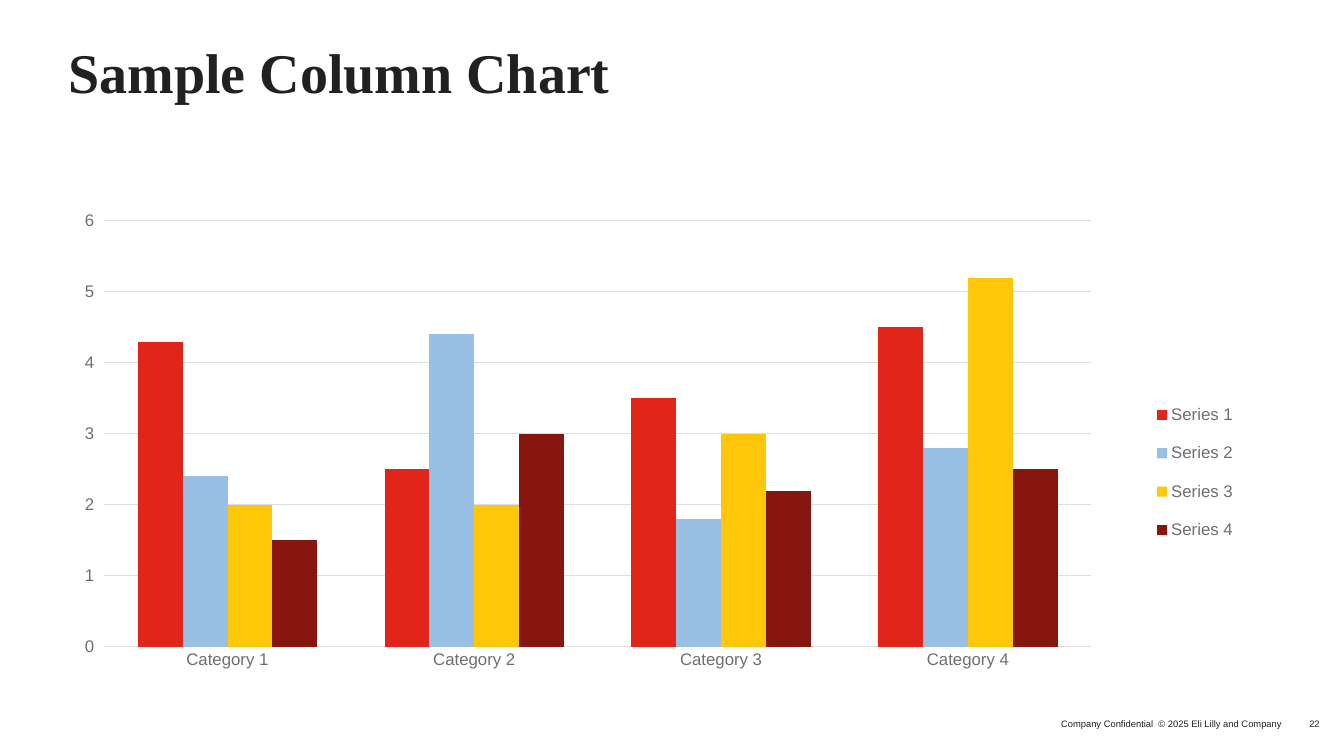
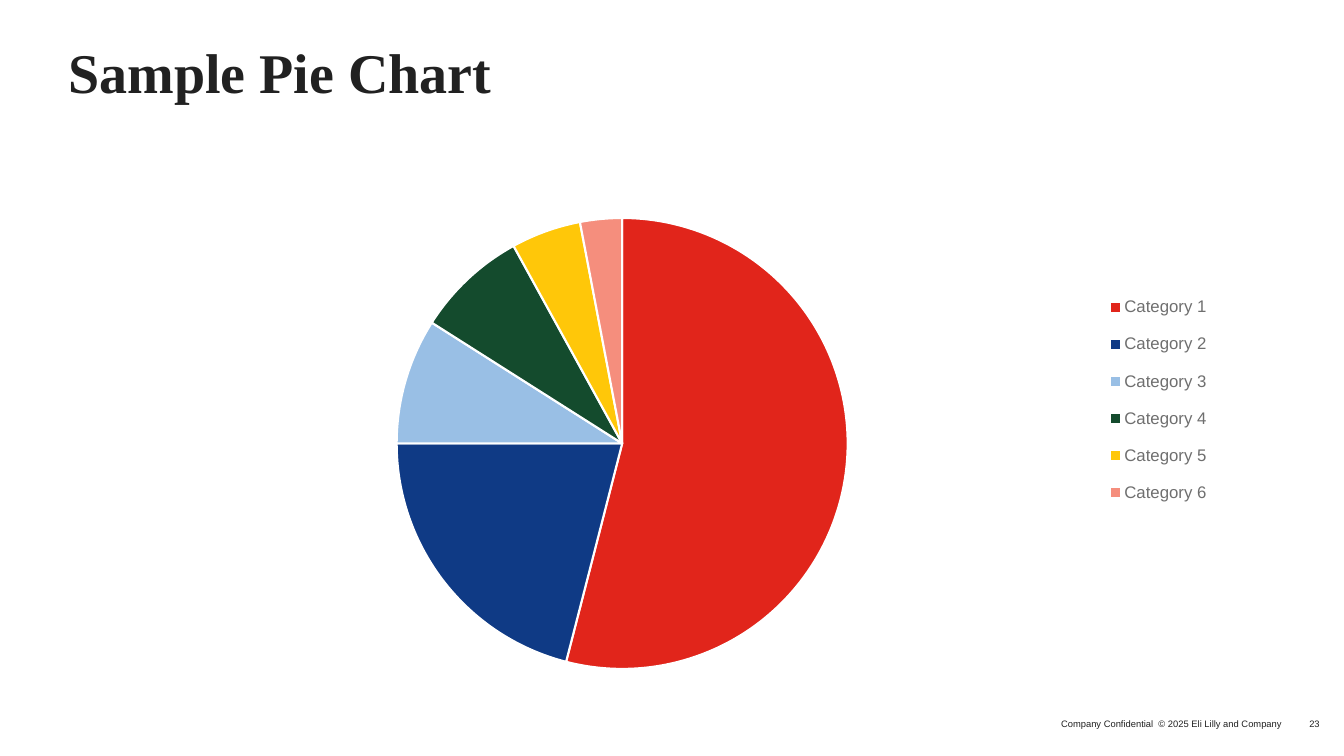
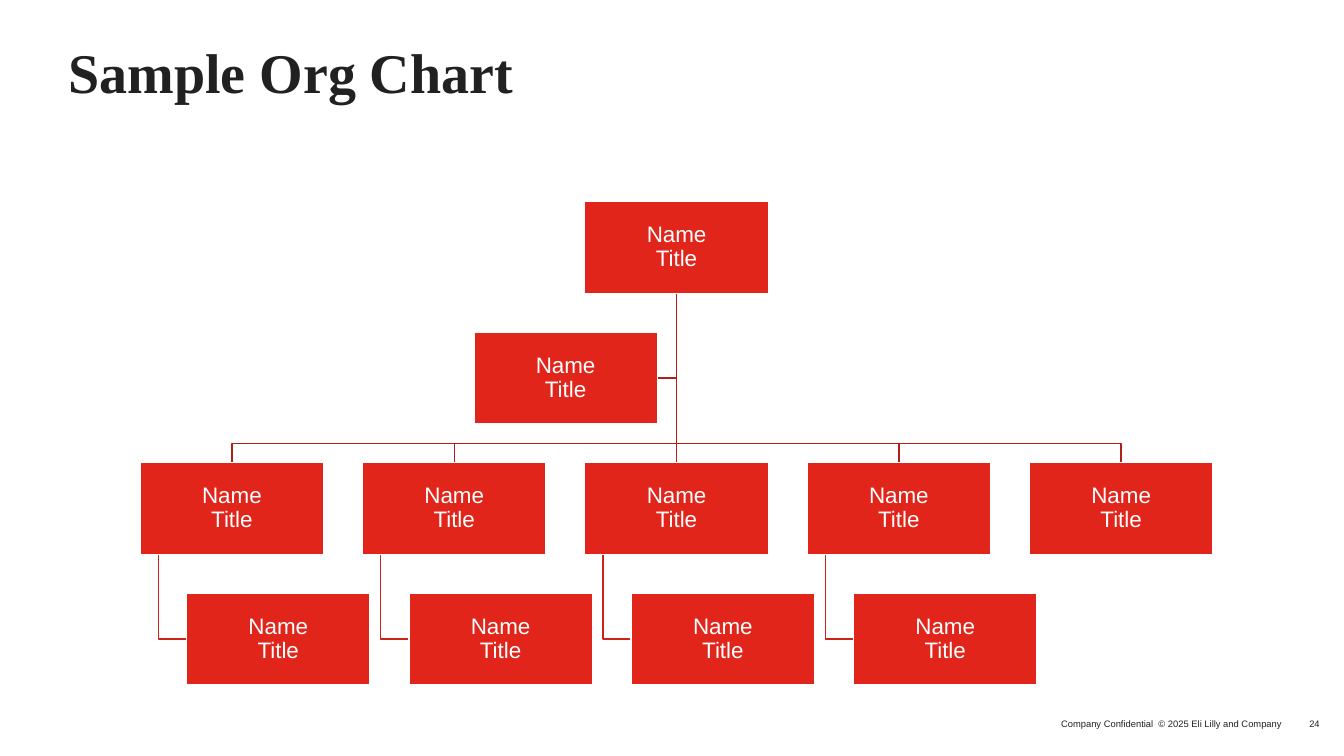
from lxml import etree
from pptx import Presentation
from pptx.chart.data import CategoryChartData
from pptx.dml.color import RGBColor
from pptx.enum import chart as ch, shapes, text
from pptx.oxml.ns import qn
from pptx.util import Inches, Pt

# Shared style
rgb = RGBColor.from_string
INK, GREY, GRID, WHITE = "212121", "6F6F6F", "DEDEDE", "FFFFFF"
RED, NAVY, SKY, GREEN = "E1251B", "0F3A85", "99BFE5", "144B2D"
YELLOW, CORAL, MAROON = "FFC709", "F58E7D", "871610"
TRUNK, BRANCH = "B41E16", "CC2219"
FOOTER = "Company Confidential  © 2025 Eli Lilly and Company"
SMALL = dict(size=Pt(6.7), name="Arial")
MIDDLE, RIGHT = text.MSO_ANCHOR.MIDDLE, text.PP_ALIGN.RIGHT


def write(sp, words, color, font, align=None, anchor=text.MSO_ANCHOR.TOP,
          spacing=None, inset=0, wrap=True):
    tf = sp.text_frame
    frame = dict(word_wrap=wrap, vertical_anchor=anchor)
    for side in ("left", "top", "right", "bottom"):
        frame["margin_" + side] = Inches(inset)
    for key, value in frame.items():
        setattr(tf, key, value)
    p = tf.paragraphs[0]
    p.text, p.alignment, p.line_spacing = words, align, spacing
    for r in p.runs:
        r.font.color.rgb = rgb(color)
        for key, value in font.items():
            setattr(r.font, key, value)
    for br in p._p.findall(qn("a:br")):
        etree.SubElement(br, qn("a:rPr"), sz=str(int(font["size"].pt * 100)))


def place(parent, index, **fractions):
    """Give a plot area or a legend a fixed place within its chart."""
    for old in parent.findall(qn("c:layout")):
        parent.remove(old)
    layout = etree.Element(qn("c:layout"))
    manual = etree.SubElement(layout, qn("c:manualLayout"))
    if parent.tag == qn("c:plotArea"):
        etree.SubElement(manual, qn("c:layoutTarget"), val="inner")
    for key in "xy":
        etree.SubElement(manual, qn(f"c:{key}Mode"), val="edge")
    for key, value in fractions.items():
        etree.SubElement(manual, qn("c:" + key), val=str(value))
    parent.insert(index, layout)


prs = Presentation()
prs.slide_width, prs.slide_height = Inches(13.33), Inches(7.5)

# Titles and footers
slides = []
titles = ["Sample Column Chart", "Sample Pie Chart", "Sample Org Chart"]
for number, title in enumerate(titles, 22):
    s = prs.slides.add_slide(prs.slide_layouts[6])
    slides.append(s)
    sp = s.shapes.add_textbox(Inches(0.68), Inches(0.5), Inches(12.09), Inches(1))
    write(sp, title, INK, dict(size=Pt(40), name="Times New Roman", bold=True), spacing=0.8)
    for words, left, width, wrap in ((FOOTER, 10.05, 2.67, False),
                                     (str(number), 12.76, 0.33, True)):
        sp = s.shapes.add_textbox(Inches(left), Inches(7.12), Inches(width), Inches(0.13))
        write(sp, words, INK, SMALL, RIGHT, MIDDLE, wrap=wrap)

# Charts
column_data = {"Series 1": (4.3, 2.5, 3.5, 4.5), "Series 2": (2.4, 4.4, 1.8, 2.8),
               "Series 3": (2, 2, 3, 5.2), "Series 4": (1.5, 3, 2.2, 2.5)}
pie_data = {"Series 1": (54, 21, 9, 8, 5, 3)}
charts = []
for s, kind, table, plot_at, legend_at in (
        (slides[0], ch.XL_CHART_TYPE.COLUMN_CLUSTERED, column_data,
         dict(x=0.03, y=0.04, w=0.81, h=0.88), dict(x=0.88, y=0.38, w=0.09, h=0.36)),
        (slides[1], ch.XL_CHART_TYPE.PIE, pie_data,
         dict(x=0.27, y=0.03, w=0.37, h=0.94), dict(x=0.84, y=0.16, w=0.11, h=0.5))):
    data = CategoryChartData()
    count = len(table["Series 1"])
    data.categories = [f"Category {i}" for i in range(1, count + 1)]
    for name, values in table.items():
        data.add_series(name, values)
    chart = s.shapes.add_chart(kind, Inches(0.67), Inches(2), Inches(12.09), Inches(4.8),
                               data).chart
    charts.append(chart)
    chart.has_title = False
    chart.has_legend = True
    chart.legend.position = ch.XL_LEGEND_POSITION.RIGHT
    chart.legend.include_in_layout = False
    for font, size, color in ((chart.font, 10, INK), (chart.legend.font, 12, GREY)):
        font.size, font.name = Pt(size), "Arial"
        font.color.rgb = rgb(color)
    place(chart._chartSpace.chart.plotArea, 0, **plot_at)
    place(chart.legend._element, 1, **legend_at)

# Column chart: bars and axes
columns, pie = charts
plot = columns.plots[0]
plot.gap_width, plot.overlap, plot.vary_by_categories = 150, 0, False
for series, color in zip(plot.series, (RED, SKY, YELLOW, MAROON)):
    series.format.fill.solid()
    series.format.fill.fore_color.rgb = rgb(color)

cat_axis, val_axis = columns.category_axis, columns.value_axis
val_axis.minimum_scale, val_axis.maximum_scale, val_axis.major_unit = 0, 6, 1
cat_axis.major_tick_mark = ch.XL_TICK_MARK.NONE
val_axis.major_tick_mark = ch.XL_TICK_MARK.OUTSIDE
for axis in (cat_axis, val_axis):
    font = axis.tick_labels.font
    font.size, font.name = Pt(12), "Arial"
    font.color.rgb = rgb(GREY)
for line in (cat_axis.format.line, val_axis.major_gridlines.format.line):
    line.color.rgb, line.width = rgb(GRID), Pt(0.75)
val_axis.format.line.fill.background()

# Pie chart: slices
pie.plots[0].vary_by_categories = True
for i, color in enumerate((RED, NAVY, SKY, GREEN, YELLOW, CORAL)):
    look = pie.plots[0].series[0].points[i].format
    look.fill.solid()
    look.fill.fore_color.rgb = rgb(color)
    look.line.color.rgb, look.line.width = rgb(WHITE), Pt(1.5)

# Org chart: grid
s = slides[2]
BOX_W, BOX_H = 1.82, 0.91
rows = [2 + 1.295 * i for i in range(4)]
team = [1.39 + 2.205 * i for i in range(5)]
members = [left + 0.46 for left in team[:4]]
middle = team[2] + BOX_W / 2
assistant = 4.7
bus = rows[2] - 0.19

# Org chart: elbow lines, behind the boxes
boss_foot = (middle, rows[0] + BOX_H)
half = BOX_H / 2
elbows = [(TRUNK, [boss_foot, (middle, rows[1] + half), (assistant + BOX_W, rows[1] + half)])]
for left in team[:2] + team[3:]:
    center = left + BOX_W / 2
    elbows.append((TRUNK, [boss_foot, (middle, bus), (center, bus), (center, rows[2])]))
for lead, left in zip(team, members):
    stem = lead + 0.18
    elbows.append((BRANCH, [(stem, rows[2] + BOX_H), (stem, rows[3] + half),
                            (left, rows[3] + half)]))
for color, points in elbows:
    (x, y), *rest = [(Inches(a), Inches(b)) for a, b in points]
    builder = s.shapes.build_freeform(x, y)
    builder.add_line_segments(rest, close=False)
    sp = builder.convert_to_shape()
    sp.shadow.inherit = False
    sp.fill.background()
    sp.line.color.rgb, sp.line.width = rgb(color), Pt(1)

# Org chart: boxes
boxes = {}
for row, lefts in enumerate(([team[2]], [assistant], team, members)):
    for col, left in enumerate(lefts):
        sp = s.shapes.add_shape(shapes.MSO_SHAPE.RECTANGLE, Inches(left), Inches(rows[row]),
                                Inches(BOX_W), Inches(BOX_H))
        sp.shadow.inherit = False
        sp.fill.solid()
        sp.fill.fore_color.rgb = rgb(RED)
        sp.line.color.rgb, sp.line.width = rgb(WHITE), Pt(1)
        write(sp, "Name\vTitle", WHITE, dict(size=Pt(16), name="Arial"),
              text.PP_ALIGN.CENTER, MIDDLE, spacing=0.9, inset=0.01)
        boxes[row, col] = sp

# Org chart: straight line from the head to the middle of the team
line = s.shapes.add_connector(shapes.MSO_CONNECTOR.STRAIGHT, 0, 0, 0, 0)
line.begin_connect(boxes[0, 0], 2)
line.end_connect(boxes[2, 2], 0)
line.line.color.rgb, line.line.width = rgb(TRUNK), Pt(1)
etree.SubElement(line._element.spPr, qn("a:effectLst"))
s.shapes._spTree.insert(2, line._element)

prs.save("out.pptx")
